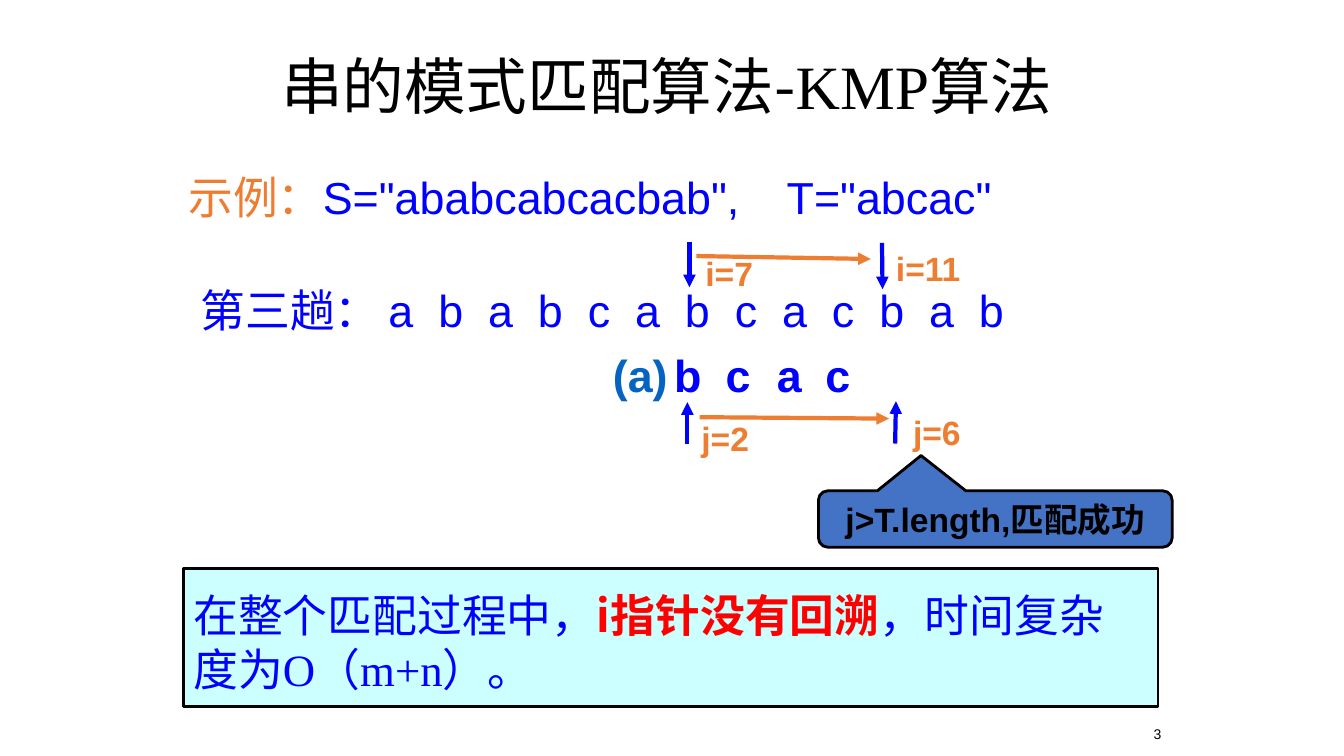
from lxml import etree
from pptx import Presentation
from pptx.dml.color import RGBColor
from pptx.enum.shapes import MSO_CONNECTOR, MSO_SHAPE
from pptx.enum.text import MSO_ANCHOR, PP_ALIGN
from pptx.oxml.ns import qn
from pptx.util import Pt

BLACK = RGBColor(0, 0, 0)
BLUE = RGBColor(0, 0, 0xFF)
ORANGE = RGBColor(0xED, 0x7D, 0x31)
RED = RGBColor(0xFF, 0, 0)
LINK_BLUE = RGBColor(0x05, 0x63, 0xC1)
CALLOUT_BLUE = RGBColor(0x44, 0x72, 0xC4)
PALE_CYAN = RGBColor(0xCC, 0xFF, 0xFF)

ARIAL = "Arial"
CJK = "Noto Sans CJK SC"
TIMES = "Times New Roman"

STRAIGHT = MSO_CONNECTOR.STRAIGHT
RECTANGLE = MSO_SHAPE.RECTANGLE
CALLOUT = MSO_SHAPE.ROUNDED_RECTANGULAR_CALLOUT
TOP, MIDDLE, BOTTOM = MSO_ANCHOR.TOP, MSO_ANCHOR.MIDDLE, MSO_ANCHOR.BOTTOM
LEFT, CENTER, RIGHT = PP_ALIGN.LEFT, PP_ALIGN.CENTER, PP_ALIGN.RIGHT

SUBJECT = "ababcabcacbab"
LETTER_WIDTH = {"a": 17.8, "b": 17.8, "c": 16}
LETTER_GAP = 17.8


def add_tab_stops(paragraph, positions):
    tab_list = etree.SubElement(paragraph._p.get_or_add_pPr(), qn("a:tabLst"))
    for position in positions:
        etree.SubElement(tab_list, qn("a:tab"), pos=str(Pt(position)), algn="l")


def write(shape, pieces, size, anchor=TOP, align=LEFT, tabs=()):
    frame = shape.text_frame
    frame.word_wrap = True
    frame.vertical_anchor = anchor
    paragraph = frame.paragraphs[0]
    paragraph.alignment = align
    if tabs:
        add_tab_stops(paragraph, tabs)
    for words, font_name, color, bold in pieces:
        run = paragraph.add_run()
        run.text = words
        run.font.name = font_name
        run.font.size = Pt(size)
        run.font.bold = bold
        run.font.color.rgb = color
        east_asian = etree.SubElement(run._r.get_or_add_rPr(), qn("a:ea"))
        east_asian.set("typeface", CJK)
    return paragraph


def add_text(slide, box, pieces, size, **layout):
    text_box = slide.shapes.add_textbox(*map(Pt, box))
    return write(text_box, pieces, size, **layout)


def add_label(slide, left, top, width, words, size, color):
    add_text(slide, (left, top, width, size * 1.4), [(words, ARIAL, color, True)], size)


def add_panel(slide, preset, box, fill):
    panel = slide.shapes.add_shape(preset, *map(Pt, box))
    panel.shadow.inherit = False
    panel.fill.solid()
    panel.fill.fore_color.rgb = fill
    panel.line.color.rgb = BLACK
    panel.line.width = Pt(2)
    return panel


def add_arrow(slide, start, end, color):
    arrow = slide.shapes.add_connector(STRAIGHT, *map(Pt, start + end))
    arrow.line.color.rgb = color
    arrow.line.width = Pt(3)
    etree.SubElement(arrow.line._get_or_add_ln(), qn("a:tailEnd"), type="triangle")
    etree.SubElement(arrow._element.spPr, qn("a:effectLst"))


def letter_stops(first):
    stops = [first]
    for letter in SUBJECT[:-1]:
        stops.append(stops[-1] + LETTER_WIDTH[letter] + LETTER_GAP)
    return stops


def add_strings(slide):
    add_text(slide, (127.4, 121, 676.8, 38.2),
             [("示例：", ARIAL, ORANGE, False),
              ("S=\"ababcabcacbab\",\tT=\"abcac\"", ARIAL, BLUE, False)],
             32, anchor=MIDDLE, tabs=[427.5])
    add_text(slide, (136.1, 199.4, 676.8, 43.2),
             [("\t".join(["第三趟：", *SUBJECT]), ARIAL, BLUE, False)],
             32, anchor=MIDDLE, tabs=letter_stops(134.3))
    pattern_top = 244.8
    add_label(slide, 430.7, pattern_top, 60, "(a)", 32, LINK_BLUE)
    for letter, left in zip("bcac", (474.5, 511.2, 547.9, 582.5)):
        add_label(slide, left, pattern_top, 34, letter, 32, BLUE)


def add_pointers(slide):
    for start, end, color in (
        ((492.5, 172.8), (492.5, 205.2), BLUE),
        ((630, 173.5), (630.4, 206.6), BLUE),
        ((491, 316.8), (491, 287.3), BLUE),
        ((639.4, 316.8), (640, 286.6), BLUE),
        ((497.5, 182.9), (622, 185), ORANGE),
        ((499.7, 298), (635, 299), ORANGE),
    ):
        add_arrow(slide, start, end, color)
    for left, top, words in (
        (496.8, 177.1, "i=7"),
        (632.9, 173.5, "i=11"),
        (493.9, 295.2, "j=2"),
        (645.1, 290.9, "j=6"),
    ):
        add_label(slide, left, top, 74, words, 24, ORANGE)


def add_conclusions(slide):
    success = add_panel(slide, CALLOUT, (584.6, 350.6, 252.7, 40.3), CALLOUT_BLUE)
    for index, value in enumerate((-0.21, -1.125, 0.167)):
        success.adjustments[index] = value
    write(success, [("j>T.length,匹配成功", ARIAL, BLACK, True)],
          24, anchor=MIDDLE, align=CENTER)

    summary = add_panel(slide, RECTANGLE, (131, 406.1, 696.2, 98.6), PALE_CYAN)
    summary.text_frame.margin_top = Pt(9.6)
    paragraph = write(summary, [
        ("在整个匹配过程中，", CJK, BLUE, False),
        ("i指针没有回溯", CJK, RED, True),
        ("，时间复杂度为", CJK, BLUE, False),
        ("Ο（m+n）。", TIMES, BLUE, False),
    ], 32, anchor=MIDDLE)
    paragraph.line_spacing = Pt(38.6)


def main():
    presentation = Presentation()
    presentation.slide_width = Pt(960)
    presentation.slide_height = Pt(540)
    slide = presentation.slides.add_slide(presentation.slide_layouts[6])

    title = add_text(slide, (193.7, 18.7, 655.2, 90),
                     [("串的模式匹配算法-", CJK, BLACK, False),
                      ("KMP", TIMES, BLACK, False),
                      ("算法", CJK, BLACK, False)],
                     44, anchor=MIDDLE)
    title.line_spacing = 0.9
    add_strings(slide)
    add_pointers(slide)
    add_conclusions(slide)
    add_text(slide, (800.6, 504.7, 36, 28.8), [("3", ARIAL, BLACK, False)],
             10, anchor=BOTTOM, align=RIGHT)
    presentation.save("out.pptx")


if __name__ == "__main__":
    main()
